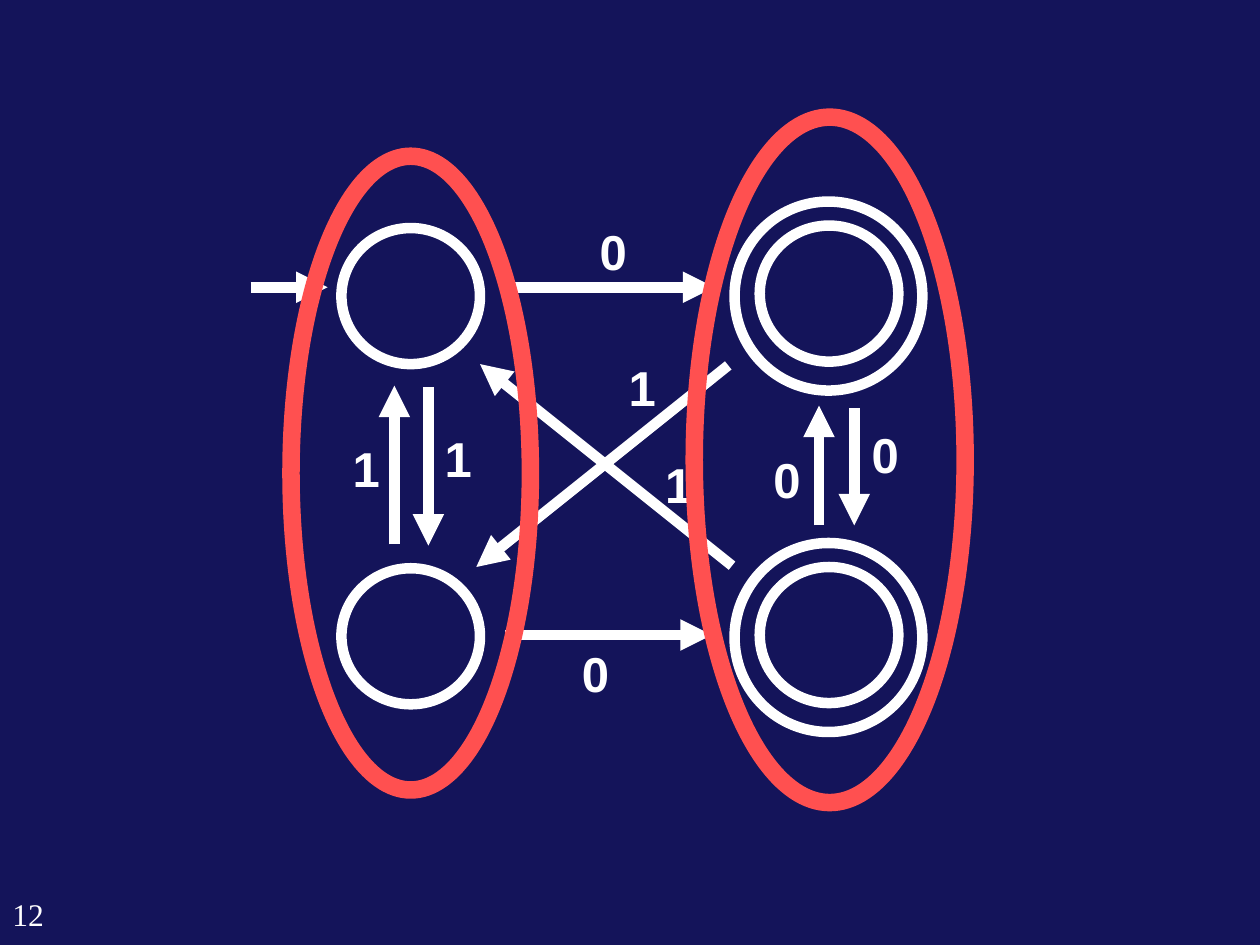
from dataclasses import dataclass

from lxml.etree import SubElement
from pptx import Presentation
from pptx.dml.color import RGBColor
from pptx.enum.shapes import MSO_CONNECTOR, MSO_SHAPE
from pptx.enum.text import MSO_AUTO_SIZE, PP_ALIGN
from pptx.oxml.ns import qn
from pptx.slide import Slide
from pptx.util import Inches, Pt

COLORS = {"background": "14145A", "diagram": "FFFFFF", "partition": "FF5050"}


@dataclass
class Ring:
    left: float
    top: float
    width: float
    height: float
    color: str = "diagram"
    weight: float = 6


@dataclass
class Transition:
    x1: float
    y1: float
    x2: float
    y2: float


@dataclass
class Label:
    text: str
    left: float
    top: float
    width: float = 0.41
    height: float = 0.57
    size: int = 28
    font: str = "Arial"
    bold: bool = True
    centered: bool = True


def color(name: str) -> RGBColor:
    return RGBColor.from_string(COLORS[name])


def draw_ring(slide: Slide, ring: Ring) -> None:
    oval = slide.shapes.add_shape(
        MSO_SHAPE.OVAL, Inches(ring.left), Inches(ring.top),
        Inches(ring.width), Inches(ring.height))
    oval.shadow.inherit = False
    oval.fill.background()
    oval.line.color.rgb = color(ring.color)
    oval.line.width = Pt(ring.weight)


def draw_transition(slide: Slide, move: Transition) -> None:
    arrow = slide.shapes.add_connector(
        MSO_CONNECTOR.STRAIGHT, Inches(move.x1), Inches(move.y1),
        Inches(move.x2), Inches(move.y2))
    arrow.line.color.rgb = color("diagram")
    arrow.line.width = Pt(6)
    SubElement(arrow.line._get_or_add_ln(), qn("a:tailEnd"), type="triangle")
    SubElement(arrow._element.spPr, qn("a:effectLst"))


def draw_label(slide: Slide, label: Label) -> None:
    box = slide.shapes.add_textbox(
        Inches(label.left), Inches(label.top),
        Inches(label.width), Inches(label.height))
    frame = box.text_frame
    frame.text = label.text
    frame.word_wrap = not label.centered
    if label.centered:
        frame.auto_size = MSO_AUTO_SIZE.SHAPE_TO_FIT_TEXT
    paragraph = frame.paragraphs[0]
    paragraph.alignment = PP_ALIGN.CENTER if label.centered else PP_ALIGN.LEFT
    font = paragraph.runs[0].font
    font.name = label.font
    font.size = Pt(label.size)
    font.bold = label.bold
    font.color.rgb = color("diagram")


# Accepting states have a second, outer ring
STATES = [
    Ring(2.71, 1.81, 1.1, 1.08),
    Ring(2.71, 4.51, 1.1, 1.08),
]
for accepting_top in (1.6, 4.31):
    STATES += [
        Ring(6.03, accepting_top + 0.19, 1.1, 1.08),
        Ring(5.83, accepting_top, 1.49, 1.5),
    ]

TRANSITIONS = [
    Transition(1.99, 2.28, 2.6, 2.28),  # start
    Transition(4.03, 2.28, 5.67, 2.28),
    Transition(4.01, 5.04, 5.65, 5.04),
    Transition(3.4, 3.07, 3.4, 4.33),
    Transition(3.13, 4.32, 3.13, 3.06),
    Transition(6.78, 3.24, 6.78, 4.17),
    Transition(6.5, 4.17, 6.5, 3.22),
    Transition(5.81, 4.49, 3.81, 2.89),
    Transition(5.78, 2.9, 3.78, 4.5),
]

LABELS = [
    Label("1", 3.43, 3.35),
    Label("1", 2.7, 3.43),
    Label("1", 4.89, 2.79),
    Label("1", 5.18, 3.56),
    Label("0", 4.52, 5.06),
    Label("0", 4.66, 1.71),
    Label("0", 6.82, 3.32),
    Label("0", 6.04, 3.52),
    # Slide number
    Label("12", 0, 7.05, 0.57, 0.45, 18, "Times New Roman", False, False),
]

# Equivalence classes around the states
PARTITIONS = [
    Ring(2.31, 1.24, 1.9, 5.03, "partition", 10),
    Ring(5.51, 0.93, 2.15, 5.44, "partition", 10),
]


def main() -> None:
    presentation = Presentation()
    presentation.slide_width = Inches(10)
    presentation.slide_height = Inches(7.5)
    slide = presentation.slides.add_slide(presentation.slide_layouts[6])
    slide.background.fill.solid()
    slide.background.fill.fore_color.rgb = color("background")

    # Automaton
    for state in STATES:
        draw_ring(slide, state)
    for transition in TRANSITIONS:
        draw_transition(slide, transition)
    for label in LABELS:
        draw_label(slide, label)

    # Partition on top
    for partition in PARTITIONS:
        draw_ring(slide, partition)

    presentation.save("out.pptx")


if __name__ == "__main__":
    main()
